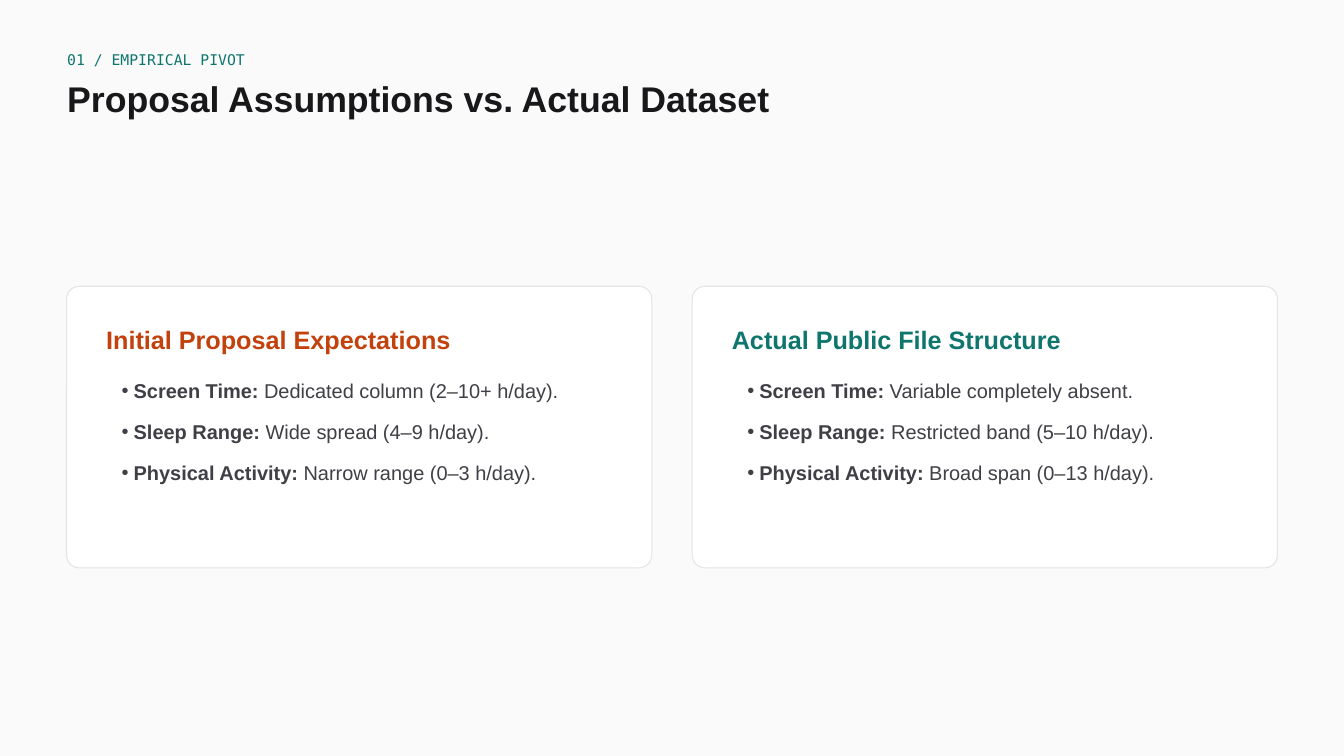
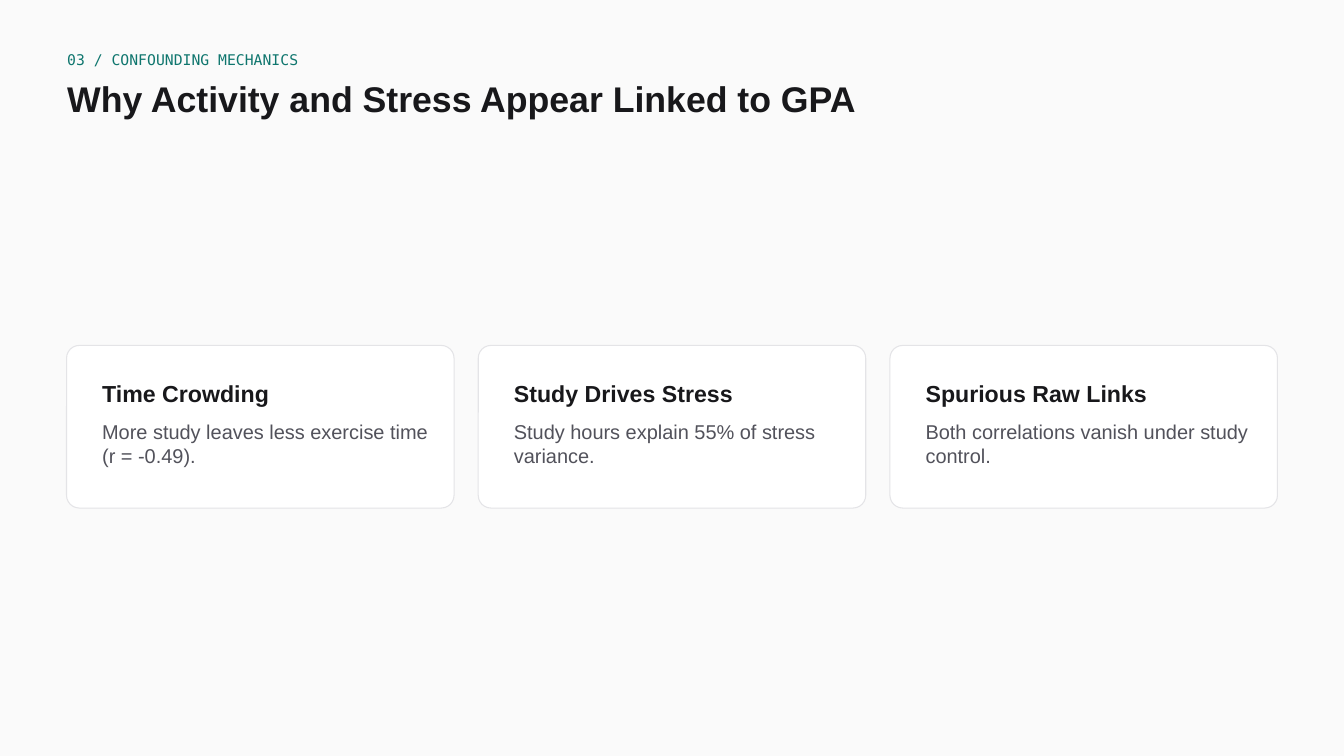
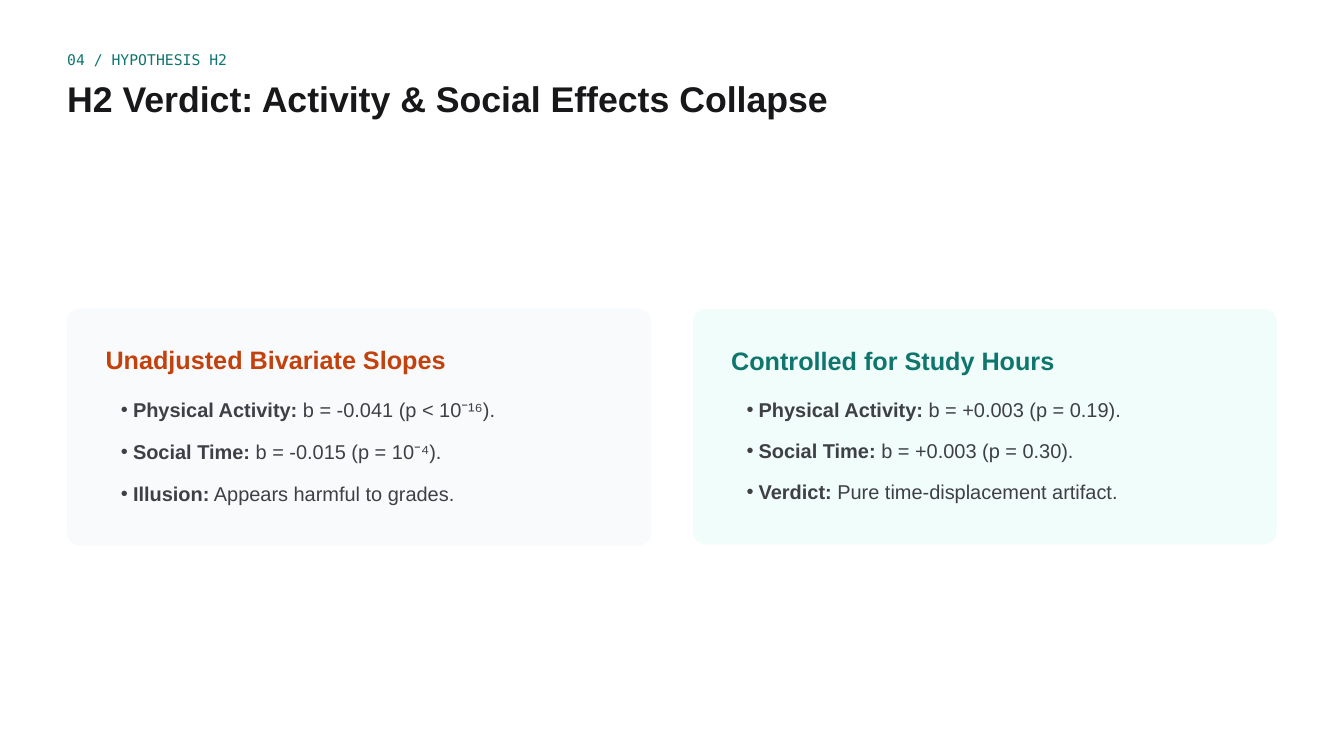
from dataclasses import dataclass
from typing import Any

from lxml import etree
from pptx import Presentation
from pptx import util as u
from pptx.dml.color import RGBColor
from pptx.enum import shapes, text
from pptx.oxml import ns


@dataclass(frozen=True)
class Theme:
    sans: str = "Arial"
    mono: str = "DejaVu Sans Mono"
    ink: str = "18181B"
    teal: str = "0F766E"
    rust: str = "C2410C"
    list_ink: str = "3F3F46"
    note_ink: str = "52525B"
    border: str = "E4E4E7"
    white: str = "FFFFFF"
    paper: str = "FAFAFA"
    slate_tint: str = "F8FAFC"
    teal_tint: str = "F0FDFA"
    kicker_pt: float = 15.8
    title_pt: float = 38.2
    panel_pt: float = 27
    card_pt: float = 24.8
    body_pt: float = 21.4
    leading: float = 1.2
    radius: float = 0.19
    border_pt: float = 1.13


T = Theme()


@dataclass(frozen=True)
class Style:
    size: float
    color: str
    bold: bool = False
    font: str = T.sans


KICKER = Style(T.kicker_pt, T.teal, font=T.mono)
TITLE = Style(T.title_pt, T.ink, True)
CARD_HEAD = Style(T.card_pt, T.ink, True)
CARD_NOTE = Style(T.body_pt, T.note_ink)
LIST = Style(T.body_pt, T.list_ink)
LIST_LABEL = Style(T.body_pt, T.list_ink, True)


@dataclass(frozen=True)
class Box:
    x: float
    y: float
    w: float
    h: float


@dataclass(frozen=True)
class Insets:
    head_x: float
    head_y: float
    body_x: float
    body_y: float


@dataclass(frozen=True)
class Panel:
    heading: str
    color: str
    items: list[tuple[str, str]]
    fill: str = T.white
    top: float = 4.26
    height: float = 4.19
    gap: float = 18.3


@dataclass(frozen=True)
class Card:
    heading: str
    note: str


def assign(obj: Any, values: dict[str, Any]) -> None:
    for name, value in values.items():
        setattr(obj, name, value)


def columns(count: int, left: float, gap: float) -> list[tuple[float, float]]:
    w = (20 - 2 * left - (count - 1) * gap) / count
    return [(left + i * (w + gap), w) for i in range(count)]


def place(sp: Any, box: Box) -> Any:
    assign(sp, {"left": u.Inches(box.x), "top": u.Inches(box.y),
                "width": u.Inches(box.w), "height": u.Inches(box.h)})
    tf = sp.text_frame
    assign(tf, {"margin_left": 0, "margin_top": 0, "margin_right": 0, "margin_bottom": 0,
                "word_wrap": True, "auto_size": text.MSO_AUTO_SIZE.NONE,
                "vertical_anchor": text.MSO_ANCHOR.TOP})
    return tf


def write(p: Any, runs: list[tuple[str, Style]], before: float = 0) -> None:
    assign(p, {"alignment": text.PP_ALIGN.LEFT, "space_before": u.Pt(before),
               "space_after": u.Pt(0), "line_spacing": u.Pt(runs[0][1].size * T.leading)})
    for words, style in runs:
        r = p.add_run()
        r.text = words
        assign(r.font, {"name": style.font, "size": u.Pt(style.size), "bold": style.bold})
        r.font.color.rgb = RGBColor.from_string(style.color)


def add_text(s: Any, box: Box, words: str, style: Style) -> None:
    sp = s.shapes.add_textbox(0, 0, 0, 0)
    write(place(sp, box).paragraphs[0], [(words, style)])


def add_bullet(p: Any) -> None:
    pPr = p._p.get_or_add_pPr()
    pPr.set("marL", str(u.Inches(0.18)))
    pPr.set("indent", str(-u.Inches(0.18)))
    etree.SubElement(pPr, ns.qn("a:buFont"), typeface=T.sans)
    etree.SubElement(pPr, ns.qn("a:buChar"), char="•")


def add_card(s: Any, box: Box, fill: str, bordered: bool) -> None:
    sp = s.shapes.add_shape(shapes.MSO_SHAPE.ROUNDED_RECTANGLE, u.Inches(box.x),
                            u.Inches(box.y), u.Inches(box.w), u.Inches(box.h))
    sp.adjustments[0] = T.radius / min(box.w, box.h)
    sp.shadow.inherit = False
    sp.fill.solid()
    sp.fill.fore_color.rgb = RGBColor.from_string(fill)
    if bordered:
        sp.line.color.rgb = RGBColor.from_string(T.border)
        sp.line.width = u.Pt(T.border_pt)
    else:
        sp.line.fill.background()
    s.shapes.element.insert(2, sp.element)


def add_slide(prs: Any, layout: str, background: str, kicker: str, title: str) -> Any:
    s = prs.slides.add_slide(prs.slide_layouts.get_by_name(layout))
    s.background.fill.solid()
    s.background.fill.fore_color.rgb = RGBColor.from_string(background)
    add_text(s, Box(1, 0.76, 18, 0.27), kicker, KICKER)
    write(place(s.shapes.title, Box(1, 1.14, 18, 0.69)).paragraphs[0], [(title, TITLE)])
    return s


def add_panels(s: Any, panels: list[Panel], left: float, gap: float,
               ins: Insets, bordered: bool) -> None:
    for i, (panel, (x, w)) in enumerate(zip(panels, columns(len(panels), left, gap))):
        add_card(s, Box(x, panel.top, w, panel.height), panel.fill, bordered)
        head, body = s.placeholders[2 * i + 1], s.placeholders[2 * i + 2]
        tf = place(head, Box(x + ins.head_x, panel.top + ins.head_y, w - 2 * ins.head_x, 0.51))
        write(tf.paragraphs[0], [(panel.heading, Style(T.panel_pt, panel.color, True))])
        tf = place(body, Box(x + ins.body_x, panel.top + ins.body_y,
                             w - ins.head_x - ins.body_x, 1.7))
        for n, (label, detail) in enumerate(panel.items):
            p = tf.add_paragraph() if n else tf.paragraphs[0]
            add_bullet(p)
            write(p, [(label, LIST_LABEL), (" " + detail, LIST)], panel.gap if n else 0)


def add_cards(s: Any, cards: list[Card], top: float, height: float, ins: Insets) -> None:
    for card, (x, w) in zip(cards, columns(len(cards), 0.99, 0.36)):
        add_card(s, Box(x, top, w, height), T.white, True)
        add_text(s, Box(x + ins.head_x, top + ins.head_y, 4.88, 0.45), card.heading, CARD_HEAD)
        add_text(s, Box(x + ins.body_x, top + ins.body_y, 4.88, 0.79), card.note, CARD_NOTE)


def main() -> None:
    prs = Presentation()
    assign(prs, {"slide_width": u.Inches(20), "slide_height": u.Inches(11.25)})

    s = add_slide(prs, "Comparison", T.paper, "01 / EMPIRICAL PIVOT",
                  "Proposal Assumptions vs. Actual Dataset")
    add_panels(s, [
        Panel("Initial Proposal Expectations", T.rust, [
            ("Screen Time:", "Dedicated column (2–10+ h/day)."),
            ("Sleep Range:", "Wide spread (4–9 h/day)."),
            ("Physical Activity:", "Narrow range (0–3 h/day).")]),
        Panel("Actual Public File Structure", T.teal, [
            ("Screen Time:", "Variable completely absent."),
            ("Sleep Range:", "Restricted band (5–10 h/day)."),
            ("Physical Activity:", "Broad span (0–13 h/day).")]),
    ], 0.99, 0.6, Insets(0.59, 0.56, 0.82, 1.37), True)

    s = add_slide(prs, "Title Only", T.paper, "03 / CONFOUNDING MECHANICS",
                  "Why Activity and Stress Appear Linked to GPA")
    add_cards(s, [
        Card("Time Crowding", "More study leaves less exercise time (r = -0.49)."),
        Card("Study Drives Stress", "Study hours explain 55% of stress variance."),
        Card("Spurious Raw Links", "Both correlations vanish under study control."),
    ], 5.14, 2.42, Insets(0.53, 0.51, 0.53, 1.11))

    s = add_slide(prs, "Comparison", T.white, "04 / HYPOTHESIS H2",
                  "H2 Verdict: Activity & Social Effects Collapse")
    add_panels(s, [
        Panel("Unadjusted Bivariate Slopes", T.rust, [
            ("Physical Activity:", "b = -0.041 (p < 10⁻¹⁶)."),
            ("Social Time:", "b = -0.015 (p = 10⁻⁴)."),
            ("Illusion:", "Appears harmful to grades.")],
            T.slate_tint, 4.59, 3.53, 19.4),
        Panel("Controlled for Study Hours", T.teal, [
            ("Physical Activity:", "b = +0.003 (p = 0.19)."),
            ("Social Time:", "b = +0.003 (p = 0.30)."),
            ("Verdict:", "Pure time-displacement artifact.")],
            T.teal_tint, 4.6, 3.5),
    ], 1, 0.62, Insets(0.57, 0.54, 0.8, 1.32), False)

    prs.save("out.pptx")


if __name__ == "__main__":
    main()
